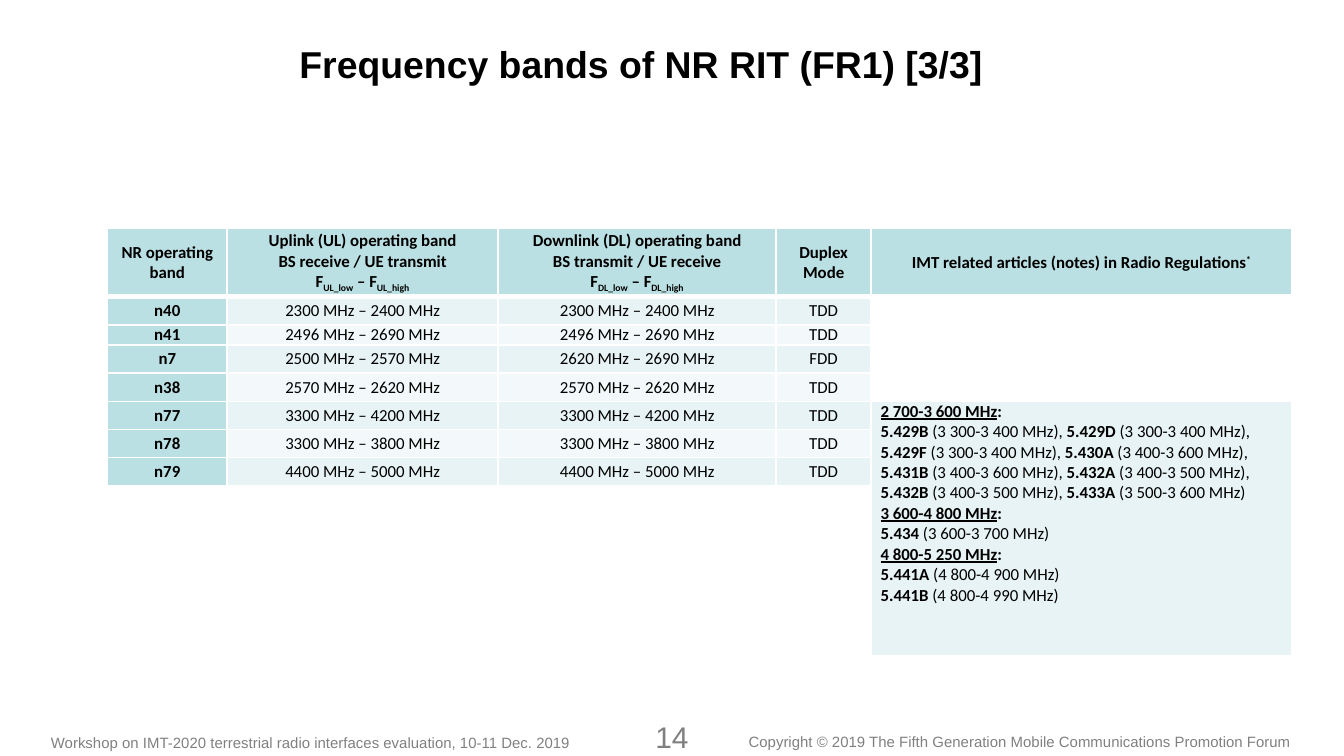
from lxml.etree import SubElement
from pptx import Presentation
from pptx.dml.color import RGBColor
from pptx.enum.text import MSO_ANCHOR, PP_ALIGN
from pptx.oxml.ns import qn
from pptx.util import Inches, Pt

WIDTH = 10
HEIGHT = WIDTH * 9 / 16
COLORS = {
    "black": "000000",
    "gray": "808080",
    "white": "FFFFFF",
    "header": "BBE0E3",
    "odd": "E7F3F4",
    "even": "F3F9FA",
}
CELL = {"name": "Calibri", "size": Pt(9), "bold": False}
BOLD = {"bold": True}
UNDERLINED = {"bold": True, "underline": True}
TITLE = {"name": "Arial", "size": Pt(20), "bold": True}
FOOTER = {"name": "Arial", "size": Pt(8)}
PAGE_NUMBER = {"name": "Arial", "size": Pt(16)}
SUBSCRIPT, SUPERSCRIPT = -25000, 30000
LINE_BREAK = ("\n", {}, 0)

COLUMNS = [0.89, 2.02, 2.07, 0.71, 3.13]
ROWS = [0.51, 0.21, 0.15] + [0.21] * 5 + [1.27]
NOTES_COLUMN = 4
NOTES_ROW = 5

BANDS = [
    ("n40", "2300 MHz – 2400 MHz", "2300 MHz – 2400 MHz", "TDD"),
    ("n41", "2496 MHz – 2690 MHz", "2496 MHz – 2690 MHz", "TDD"),
    ("n7", "2500 MHz – 2570 MHz", "2620 MHz – 2690 MHz", "FDD"),
    ("n38", "2570 MHz – 2620 MHz", "2570 MHz – 2620 MHz", "TDD"),
    ("n77", "3300 MHz – 4200 MHz", "3300 MHz – 4200 MHz", "TDD"),
    ("n78", "3300 MHz – 3800 MHz", "3300 MHz – 3800 MHz", "TDD"),
    ("n79", "4400 MHz – 5000 MHz", "4400 MHz – 5000 MHz", "TDD"),
]
ARTICLES = [
    ("2 700-3 600 MHz", [[
        ("5.429B", "3 300-3 400"), ("5.429D", "3 300-3 400"),
        ("5.429F", "3 300-3 400"), ("5.430A", "3 400-3 600"),
        ("5.431B", "3 400-3 600"), ("5.432A", "3 400-3 500"),
        ("5.432B", "3 400-3 500"), ("5.433A", "3 500-3 600"),
    ]]),
    ("3 600-4 800 MHz", [[("5.434", "3 600-3 700")]]),
    ("4 800-5 250 MHz", [[("5.441A", "4 800-4 900")], [("5.441B", "4 800-4 990")]]),
]


def write(text_frame, lines, font, color, align):
    for index, line in enumerate(lines):
        paragraph = text_frame.paragraphs[0] if index == 0 else text_frame.add_paragraph()
        paragraph.alignment = align
        for part in line:
            if part is LINE_BREAK:
                paragraph.add_line_break()
                SubElement(paragraph._p[-1], qn("a:rPr"), sz=str(font["size"].centipoints))
                continue
            text, style, baseline = part
            run = paragraph.add_run()
            run.text = text
            for name, value in {**font, **style}.items():
                setattr(run.font, name, value)
            run.font.color.rgb = RGBColor.from_string(COLORS[color])
            if baseline:
                run._r.get_or_add_rPr().set("baseline", str(baseline))


def plain(text):
    return [(text, {}, 0)]


def add_text(slide, box, text, font, color, align, anchor=MSO_ANCHOR.TOP):
    shape = slide.shapes.add_textbox(*map(Inches, box))
    shape.text_frame.word_wrap = True
    shape.text_frame.vertical_anchor = anchor
    write(shape.text_frame, [plain(text)], font, color, align)


def header_lines():
    def band(direction, route, link):
        return [
            plain(f"{direction} ({link}) operating band"),
            plain(route),
            [("F", {}, 0), (f"{link}_low", {}, SUBSCRIPT),
             (" – F", {}, 0), (f"{link}_high", {}, SUBSCRIPT)],
        ]

    return [
        [plain("NR operating band")],
        band("Uplink", "BS receive / UE transmit", "UL"),
        band("Downlink", "BS transmit / UE receive", "DL"),
        [plain("Duplex Mode")],
        [plain("IMT related articles (notes) in Radio Regulations")
         + [("*", {}, SUPERSCRIPT)]],
    ]


def article_line():
    line = []
    for heading, groups in ARTICLES:
        line += [LINE_BREAK, (heading, UNDERLINED, 0), (":", BOLD, 0)]
        for group in groups:
            line.append(LINE_BREAK)
            for position, (article, span) in enumerate(group, 1):
                comma = ", " if position < len(group) else ""
                line += [(article, BOLD, 0), (f" ({span} MHz){comma}", {}, 0)]
    return line[1:]


def set_borders(cell, top, bottom):
    properties = cell._tc.get_or_add_tcPr()
    for index, (side, points) in enumerate([("L", 1), ("R", 1), ("T", top), ("B", bottom)]):
        border = SubElement(properties, qn(f"a:ln{side}"), w=str(Pt(points)))
        fill = SubElement(border, qn("a:solidFill"))
        SubElement(fill, qn("a:srgbClr"), val=COLORS["white"])
        properties.insert(index, border)


def fill_cell(cell, lines, fill, font=CELL, align=PP_ALIGN.CENTER, anchor=MSO_ANCHOR.MIDDLE):
    cell.fill.solid()
    cell.fill.fore_color.rgb = RGBColor.from_string(COLORS[fill])
    cell.vertical_anchor = anchor
    write(cell.text_frame, lines, font, "black", align)


def add_band_table(slide, box):
    left, top, width, height = box
    table = slide.shapes.add_table(len(ROWS), len(COLUMNS), *map(Inches, box)).table
    table.first_row = table.horz_banding = False
    for column, share in zip(table.columns, COLUMNS):
        column.width = Inches(width * share / sum(COLUMNS))
    for row, share in zip(table.rows, ROWS):
        row.height = Inches(height * share / sum(ROWS))

    for row_index, row in enumerate(table.rows):
        for cell in row.cells:
            for name, inset in {"left": 0.07, "right": 0.07, "top": 0, "bottom": 0}.items():
                setattr(cell, f"margin_{name}", Inches(inset))
            cell.fill.background()
            set_borders(cell, 3 if row_index == 1 else 1, 3 if row_index == 0 else 1)

    last = len(ROWS) - 1
    table.cell(1, NOTES_COLUMN).merge(table.cell(NOTES_ROW - 1, NOTES_COLUMN))
    table.cell(NOTES_ROW, NOTES_COLUMN).merge(table.cell(last, NOTES_COLUMN))
    table.cell(last, 2).merge(table.cell(last, 3))

    for column, lines in enumerate(header_lines()):
        fill_cell(table.cell(0, column), lines, "header", {**CELL, **BOLD})
    for row, band in enumerate(BANDS, 1):
        for column, text in enumerate(band):
            fill = "header" if column == 0 else "odd" if row % 2 else "even"
            font = {**CELL, "bold": column == 0}
            fill_cell(table.cell(row, column), [plain(text)], fill, font)
    fill_cell(table.cell(NOTES_ROW, NOTES_COLUMN), [article_line()], "odd",
              align=PP_ALIGN.LEFT, anchor=MSO_ANCHOR.TOP)

    for cell in table.iter_cells():
        if not cell.text_frame.text:
            SubElement(cell.text_frame.paragraphs[0]._p, qn("a:endParaRPr"), sz="900")


def add_footer(slide, box):
    left, top, width, height = box
    parts = [
        (0.414, 0, 0.116, 0.32, "14", PAGE_NUMBER, PP_ALIGN.CENTER),
        (0.516, 0.1, 0.43, 0.24,
         "Copyright © 2019 The Fifth Generation Mobile Communications Promotion Forum",
         FOOTER, PP_ALIGN.CENTER),
        (0, 0.11, 0.448, 0.24,
         "Workshop on IMT-2020 terrestrial radio interfaces evaluation, 10-11 Dec. 2019",
         FOOTER, PP_ALIGN.LEFT),
    ]
    for x, y, share, depth, text, font, align in parts:
        part_box = (left + x * WIDTH, top + y, share * WIDTH, depth)
        add_text(slide, part_box, text, font, "gray", align)


def main():
    presentation = Presentation()
    presentation.slide_width, presentation.slide_height = Inches(WIDTH), Inches(HEIGHT)
    slide = presentation.slides.add_slide(presentation.slide_layouts[6])
    add_footer(slide, (0.28, 5.3, 9.46, 0.35))
    add_text(slide, (2.13, 0, 7.87, 0.94), "Frequency bands of NR RIT (FR1) [3/3]",
             TITLE, "black", PP_ALIGN.LEFT, MSO_ANCHOR.MIDDLE)
    add_band_table(slide, (0.8, 1.7, 8.81, 3.18))
    presentation.save("out.pptx")


if __name__ == "__main__":
    main()
